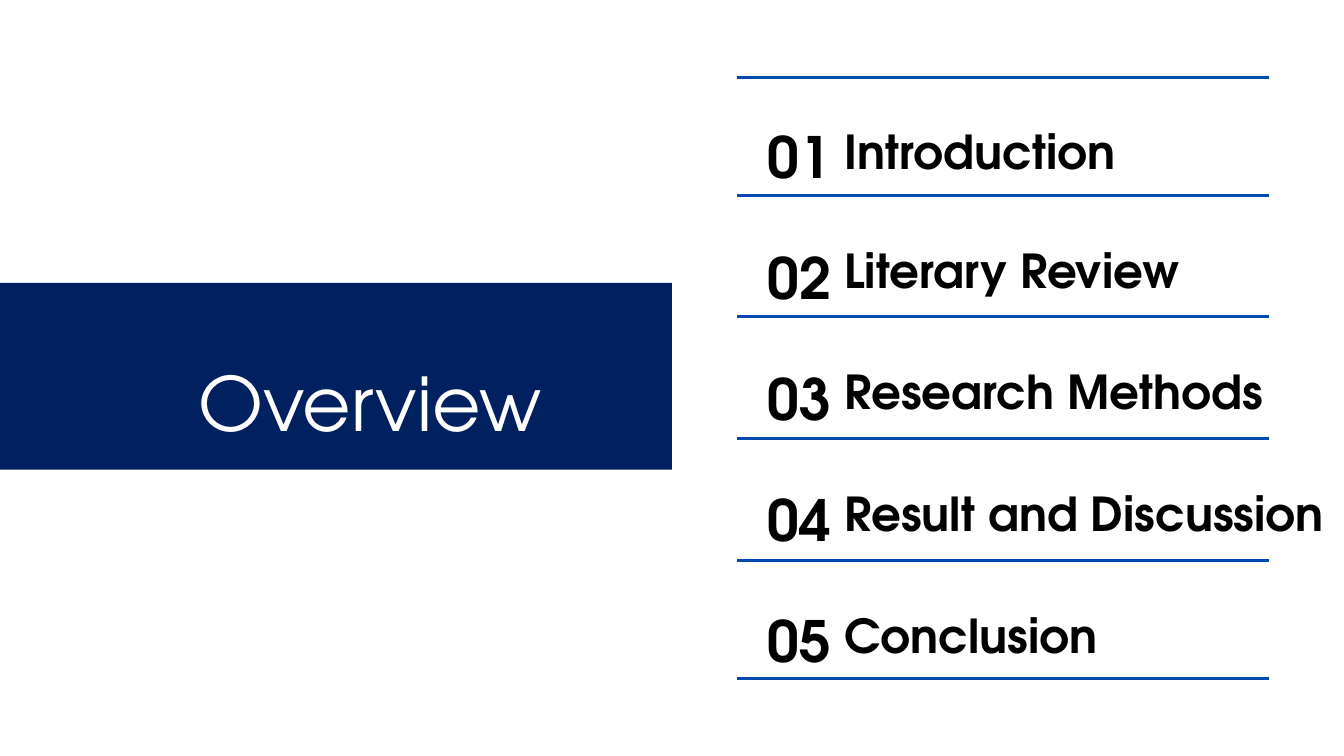
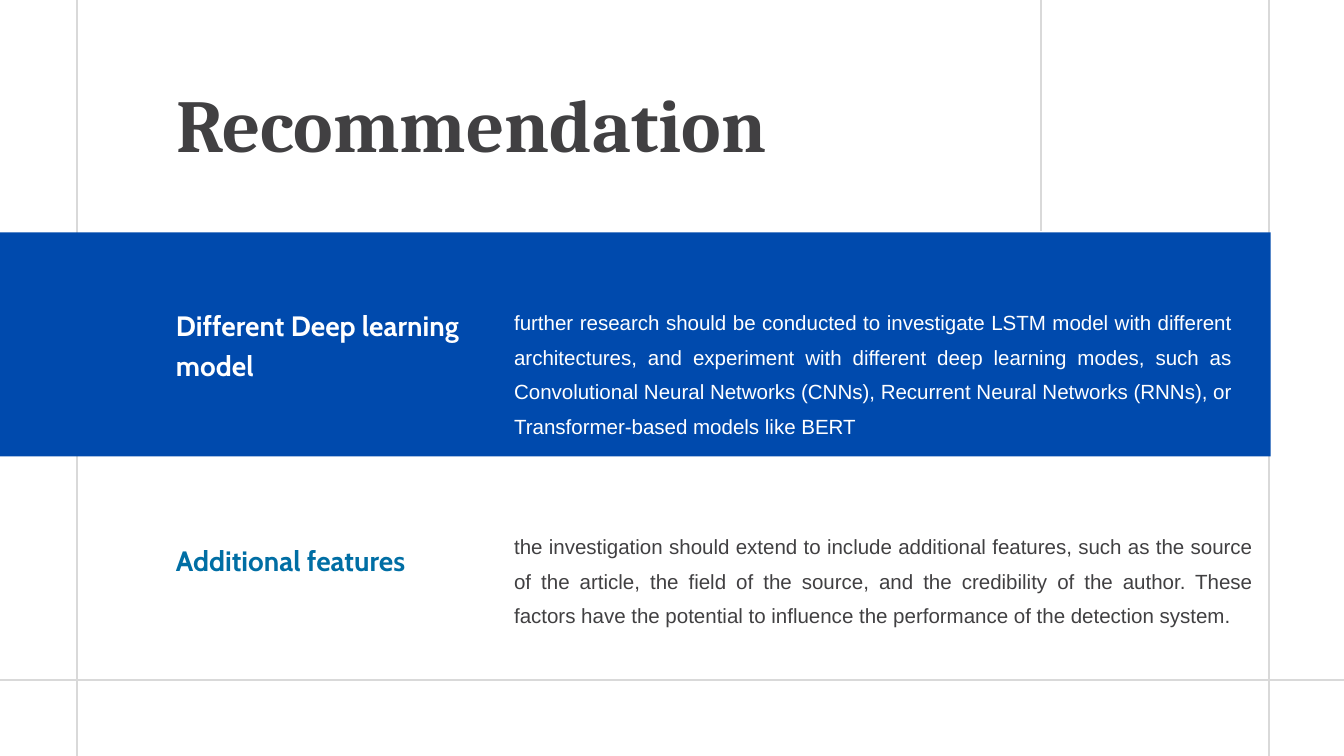
from dataclasses import dataclass

from pptx import Presentation
from pptx import util as u
from pptx.dml.color import RGBColor
from pptx.enum import shapes, text
from pptx.oxml.ns import qn
from lxml import etree

LEFT, CENTER, JUSTIFY = (
    text.PP_ALIGN.LEFT, text.PP_ALIGN.CENTER, text.PP_ALIGN.JUSTIFY)


@dataclass(frozen=True)
class Style:
    """Describe the look of one kind of text."""
    font: str
    size: float
    spacing: float
    bold: bool = False
    align: int = LEFT


class Theme:
    """Hold the colours, type styles and line widths of the deck."""
    navy, blue, teal = "002060", "004AAD", "006EA4"
    white, black, ink, grey = "FFFFFF", "000000", "414042", "D9D9D9"
    agenda_title = Style("TeX Gyre Adventor", 80, 1.4, align=CENTER)
    agenda_number = Style("TeX Gyre Adventor", 61, 1.4, True, CENTER)
    agenda_entry = Style("TeX Gyre Adventor", 50.1, 1.4, True)
    page_title = Style("Cambria", 80, 1.1, True)
    topic = Style("Cabin", 30, 1.2, True)
    body = Style("Arial", 22, 1.4, align=JUSTIFY)
    rule, grid = 3, 2.25


WIDTH, HEIGHT = 1440, 810


def add_text(slide, box, words, style, color):
    """Write one paragraph into a box given as left, top, width, height."""
    frame = slide.shapes.add_textbox(*map(u.Pt, box)).text_frame
    frame.word_wrap = True
    frame.auto_size = text.MSO_AUTO_SIZE.SHAPE_TO_FIT_TEXT
    frame.margin_left = frame.margin_right = 0
    frame.margin_top = frame.margin_bottom = 0
    paragraph = frame.paragraphs[0]
    paragraph.text = words
    paragraph.alignment = style.align
    paragraph.line_spacing = style.spacing
    paragraph.font.name = style.font
    paragraph.font.size = u.Pt(style.size)
    paragraph.font.bold = style.bold
    paragraph.font.color.rgb = RGBColor.from_string(color)


def add_line(slide, start, end, color, weight):
    """Draw a straight line without a shadow."""
    line = slide.shapes.add_connector(
        shapes.MSO_CONNECTOR.STRAIGHT, *map(u.Pt, (*start, *end)))
    line.line.color.rgb = RGBColor.from_string(color)
    line.line.width = u.Pt(weight)
    etree.SubElement(line._element.spPr, qn("a:effectLst"))


def add_band(slide, box, color):
    """Draw a plain coloured band."""
    band = slide.shapes.add_shape(
        shapes.MSO_SHAPE.RECTANGLE, *map(u.Pt, box))
    band.shadow.inherit = False
    band.fill.solid()
    band.fill.fore_color.rgb = RGBColor.from_string(color)
    band.line.fill.background()


def title_band(slide, box, title):
    """Place the agenda title on its band."""
    left, top, _, _ = box
    add_band(slide, box, Theme.navy)
    add_text(slide, (left + 230.4, top + 41, 412.5, 108.7), title,
             Theme.agenda_title, Theme.white)


def agenda(slide, box, entries):
    """List numbered entries, each between two rules."""
    left, top, width, height = box
    number_pitch = 129.8
    for offset in (*(entry[1] for entry in entries), height):
        y = top + offset
        add_line(slide, (left, y), (left + width, y), Theme.blue, Theme.rule)
    for index, (name, offset, name_width) in enumerate(entries):
        add_text(slide, (left + 115, top + offset + 25.2, name_width, 67.7),
                 name, Theme.agenda_entry, Theme.black)
        add_text(slide, (left + 21.6, top + 18 + index * number_pitch, 90.7, 81.4),
                 f"{index + 1:02}", Theme.agenda_number, Theme.black)


def page_grid(slide, box):
    """Draw the thin grey lines behind a content page."""
    left, top, width, height = box
    right, bottom = left + width, top + height
    for x, end in ((82.1, bottom), (1360.1, bottom), (1115.3, top + 247.7)):
        add_line(slide, (left + x, top), (left + x, end), Theme.grey, Theme.grid)
    floor = top + 728.6
    add_line(slide, (left, floor), (right, floor), Theme.grey, Theme.grid)


def advice(slide, box, topic, topic_box, topic_color, body, body_box, body_color):
    """Set a topic beside its text, both offset from the row's corner."""
    left, top, _, _ = box
    for words, (x, y, width, height), style, color in (
            (topic, topic_box, Theme.topic, topic_color),
            (body, body_box, Theme.body, body_color)):
        add_text(slide, (left + x, top + y, width, height), words, style, color)


def overview_slide(slide):
    """Build the agenda slide."""
    agenda(slide, (789.8, 82.8, 569.6, 644.4), (
        ("Introduction", 0, 453.6),
        ("Literary Review", 126.7, 453.6),
        ("Research Methods", 256.3, 453.6),
        ("Result and Discussion", 387.4, 535),
        ("Conclusion", 517.7, 453.6)))
    title_band(slide, (-40.3, 303.1, 760.3, 200.2), "Overview")


def recommendation_slide(slide):
    """Build the recommendation slide."""
    first = (0, 249.1, 1361.5, 239.8)
    second = (0, 488.9, 1361.5, 239.7)
    topic_x, body_x = 188.6, 550.8
    page_grid(slide, (0, 0, WIDTH, HEIGHT))
    add_band(slide, first, Theme.blue)
    add_text(slide, (topic_x, 74.2, 795.6, 102.2), "Recommendation",
             Theme.page_title, Theme.ink)
    advice(
        slide, first,
        "Different Deep learning model", (topic_x, 74.2, 316, 80), Theme.white,
        "further research should be conducted to investigate LSTM model with "
        "different architectures, and experiment with different deep learning "
        "modes, such as Convolutional Neural Networks (CNNs), Recurrent Neural "
        "Networks (RNNs), or Transformer-based models like BERT",
        (body_x, 72.7, 769, 123), Theme.white)
    advice(
        slide, second,
        "Additional features", (topic_x, 85.7, 316, 35.3), Theme.teal,
        "the investigation should extend to include additional features, such "
        "as the source of the article, the field of the source, and the "
        "credibility of the author. These factors have the potential to "
        "influence the performance of the detection system.",
        (body_x, 72.7, 791.3, 92.2), Theme.ink)


def main():
    """Build and save the deck."""
    deck = Presentation()
    deck.slide_width, deck.slide_height = u.Pt(WIDTH), u.Pt(HEIGHT)
    blank = deck.slide_layouts[6]
    for build in (overview_slide, recommendation_slide):
        build(deck.slides.add_slide(blank))
    deck.save("out.pptx")


if __name__ == "__main__":
    main()
